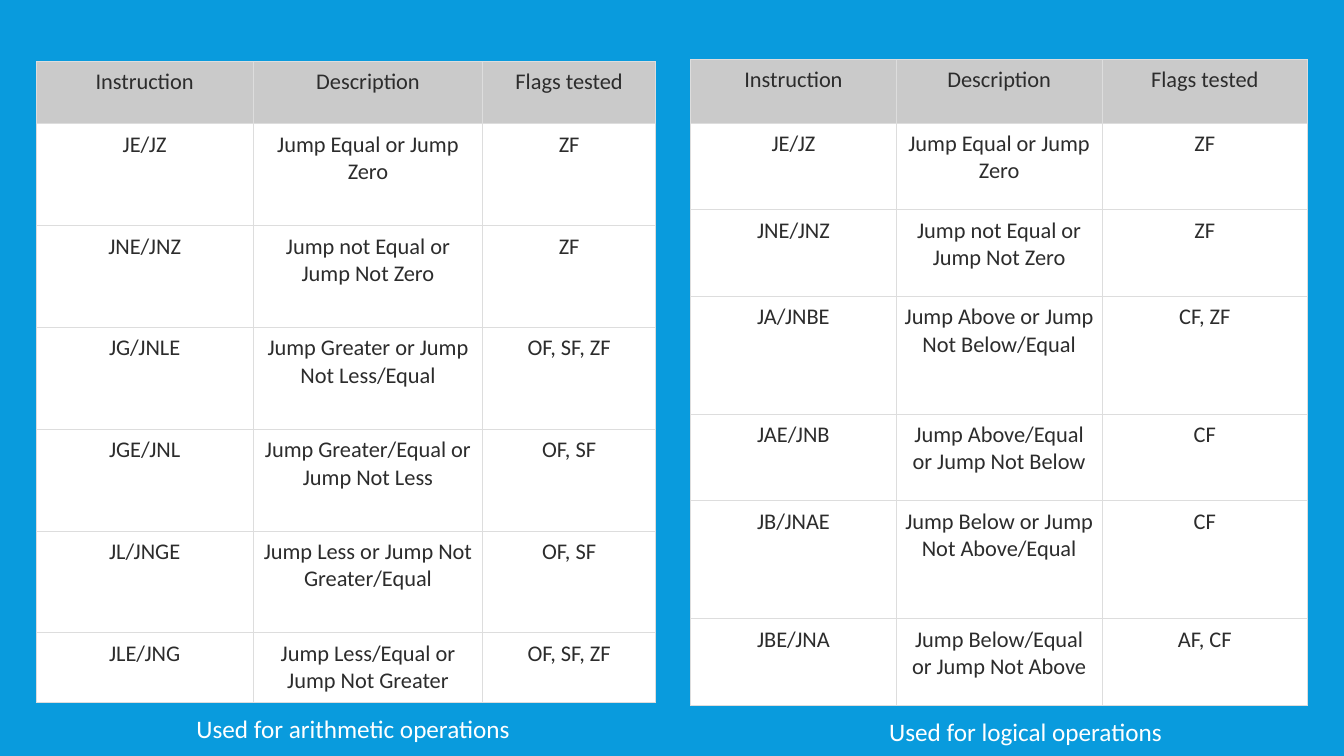
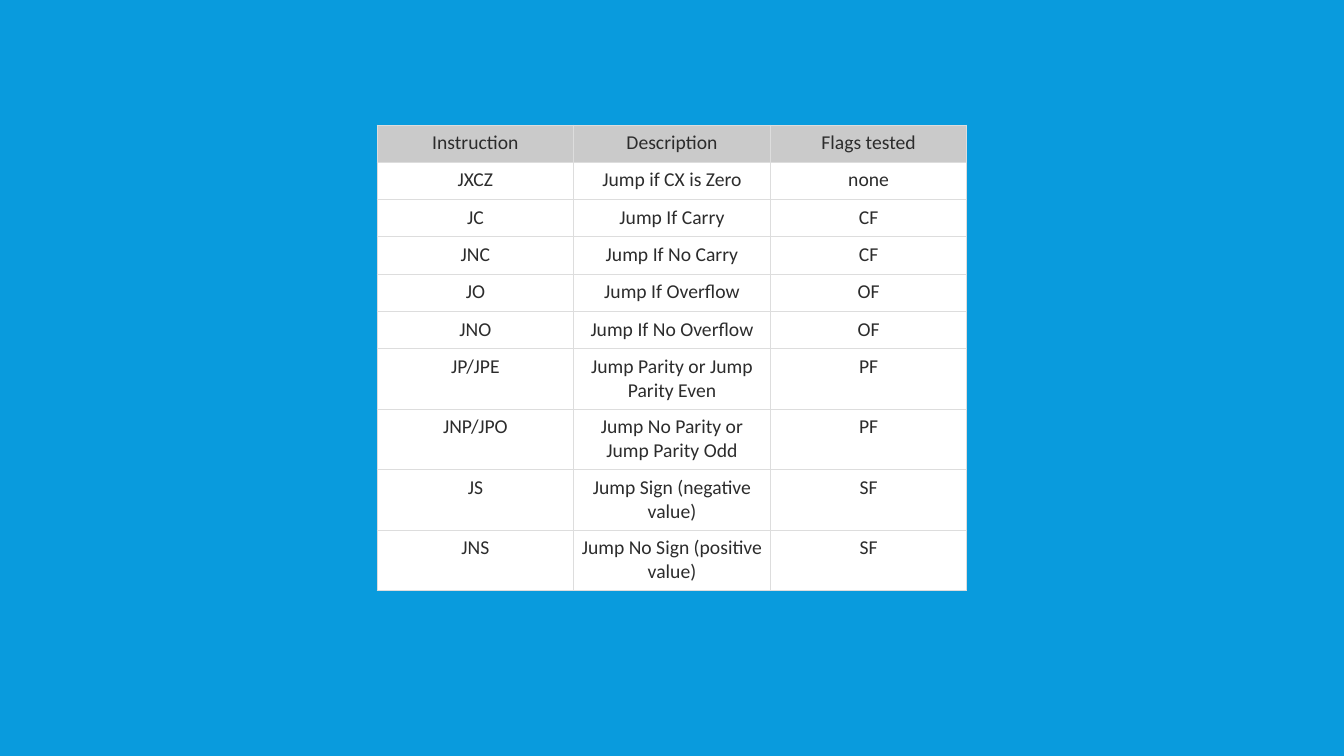
"""Build two slides of conditional jump instruction tables."""
from dataclasses import dataclass

from lxml.etree import SubElement
from pptx import Presentation
from pptx.dml.color import RGBColor
from pptx.enum.text import MSO_AUTO_SIZE, PP_ALIGN
from pptx.oxml.ns import qn
from pptx.util import Inches, Pt


@dataclass(frozen=True)
class Theme:
    """Colours, font and type sizes shared by the slides."""
    background: str = "099BDD"
    header: str = "CACACA"
    body: str = "FFFFFF"
    border: str = "DDDDDD"
    ink: str = "2C2C2C"
    caption_ink: str = "FFFFFF"
    font: str = "Calibri"
    large: int = 16
    small: int = 14
    caption: int = 18
    border_width: float = 0.75


THEME = Theme()
HEADINGS = ("Instruction", "Description", "Flags tested")
EQUALITY = [
    ("JE/JZ", "Jump Equal or Jump Zero", "ZF"),
    ("JNE/JNZ", "Jump not Equal or Jump Not Zero", "ZF"),
]
ARITHMETIC = EQUALITY + [
    ("JG/JNLE", "Jump Greater or Jump Not Less/Equal", "OF, SF, ZF"),
    ("JGE/JNL", "Jump Greater/Equal or Jump Not Less", "OF, SF"),
    ("JL/JNGE", "Jump Less or Jump Not Greater/Equal", "OF, SF"),
    ("JLE/JNG", "Jump Less/Equal or Jump Not Greater", "OF, SF, ZF"),
]
LOGICAL = EQUALITY + [
    ("JA/JNBE", "Jump Above or Jump Not Below/Equal", "CF, ZF"),
    ("JAE/JNB", "Jump Above/Equal or Jump Not Below", "CF"),
    ("JB/JNAE", "Jump Below or Jump Not Above/Equal", "CF"),
    ("JBE/JNA", "Jump Below/Equal or Jump Not Above", "AF, CF"),
]
SINGLE_FLAG = [
    ("JXCZ", "Jump if CX is Zero", "none"),
    ("JC", "Jump If Carry", "CF"),
    ("JNC", "Jump If No Carry", "CF"),
    ("JO", "Jump If Overflow", "OF"),
    ("JNO", "Jump If No Overflow", "OF"),
    ("JP/JPE", "Jump Parity or Jump Parity Even", "PF"),
    ("JNP/JPO", "Jump No Parity or Jump Parity Odd", "PF"),
    ("JS", "Jump Sign (negative value)", "SF"),
    ("JNS", "Jump No Sign (positive value)", "SF"),
]


def style_text(paragraph, size, colour):
    """Set the font of every run in a paragraph."""
    for run in paragraph.runs:
        run.font.name = THEME.font
        run.font.size = Pt(size)
        run.font.bold = False
        run.font.color.rgb = RGBColor.from_string(colour)


def add_borders(cell):
    """Draw a thin line on all four sides of a cell."""
    properties = cell._tc.get_or_add_tcPr()
    for side in ("lnL", "lnR", "lnT", "lnB"):
        line = SubElement(properties, qn(f"a:{side}"), w=str(Pt(THEME.border_width)))
        fill = SubElement(line, qn("a:solidFill"))
        SubElement(fill, qn("a:srgbClr"), val=THEME.border)


def fill_cell(cell, text, size, margin, fill):
    """Write centred text in a bordered, filled cell."""
    cell.margin_left = cell.margin_right = Inches(margin)
    cell.margin_top = cell.margin_bottom = Inches(margin - 0.01)
    cell.text_frame.text = text
    paragraph = cell.text_frame.paragraphs[0]
    paragraph.alignment = PP_ALIGN.CENTER
    style_text(paragraph, size, THEME.ink)
    add_borders(cell)
    cell.fill.solid()
    cell.fill.fore_color.rgb = RGBColor.from_string(fill)


def add_jump_table(slide, left, top, widths, heights, jumps, size, margin):
    """Place a table of jump instructions under the shared headings."""
    records = [HEADINGS, *jumps]
    table = slide.shapes.add_table(
        len(records), len(HEADINGS), Inches(left), Inches(top),
        Inches(sum(widths)), Inches(sum(heights))).table
    table.horz_banding = False
    for column, width in zip(table.columns, widths):
        column.width = Inches(width)
    for index, (row, height, record) in enumerate(zip(table.rows, heights, records)):
        row.height = Inches(height)
        fill = THEME.body if index else THEME.header
        for cell, text in zip(row.cells, record):
            fill_cell(cell, text, size, margin, fill)


def add_caption(slide, left, top, width, text):
    """Place a one-line caption."""
    box = slide.shapes.add_textbox(Inches(left), Inches(top), Inches(width), Inches(0.4))
    frame = box.text_frame
    frame.word_wrap = False
    frame.auto_size = MSO_AUTO_SIZE.SHAPE_TO_FIT_TEXT
    frame.text = text
    style_text(frame.paragraphs[0], THEME.caption, THEME.caption_ink)


def add_captioned_table(slide, left, top, widths, heights, jumps, indent, caption_width, use):
    """Place a jump table with a caption just below it."""
    add_jump_table(slide, left, top, widths, heights, jumps, THEME.large, 0.08)
    add_caption(slide, left + indent, top + sum(heights) + 0.06, caption_width, use)


def build_comparison_slide(slide):
    """Set arithmetic and logical jumps side by side."""
    add_captioned_table(
        slide, 0.36, 0.61, (2.15, 2.28, 1.71), [0.62] + [1.01] * 5 + [0.69],
        ARITHMETIC, 1.49, 3.39, "Used for arithmetic operations")
    add_captioned_table(
        slide, 6.85, 0.59, [2.04] * 3, (0.63, 0.86, 0.86, 1.17, 0.86, 1.17, 0.86),
        LOGICAL, 1.87, 2.98, "Used for logical operations")


def build_single_flag_slide(slide):
    """Show the jumps that test a single flag."""
    add_jump_table(slide, 3.74, 1.24, [1.95] * 3, [0.37] * 6 + [0.6] * 4,
                   SINGLE_FLAG, THEME.small, 0.07)


def main():
    """Build and save the presentation."""
    deck = Presentation()
    deck.slide_width, deck.slide_height = Inches(13.33), Inches(7.5)
    backdrop = deck.slide_master.background.fill
    backdrop.solid()
    backdrop.fore_color.rgb = RGBColor.from_string(THEME.background)
    blank = deck.slide_layouts[6]
    for build in (build_comparison_slide, build_single_flag_slide):
        build(deck.slides.add_slide(blank))
    deck.save("out.pptx")


if __name__ == "__main__":
    main()
